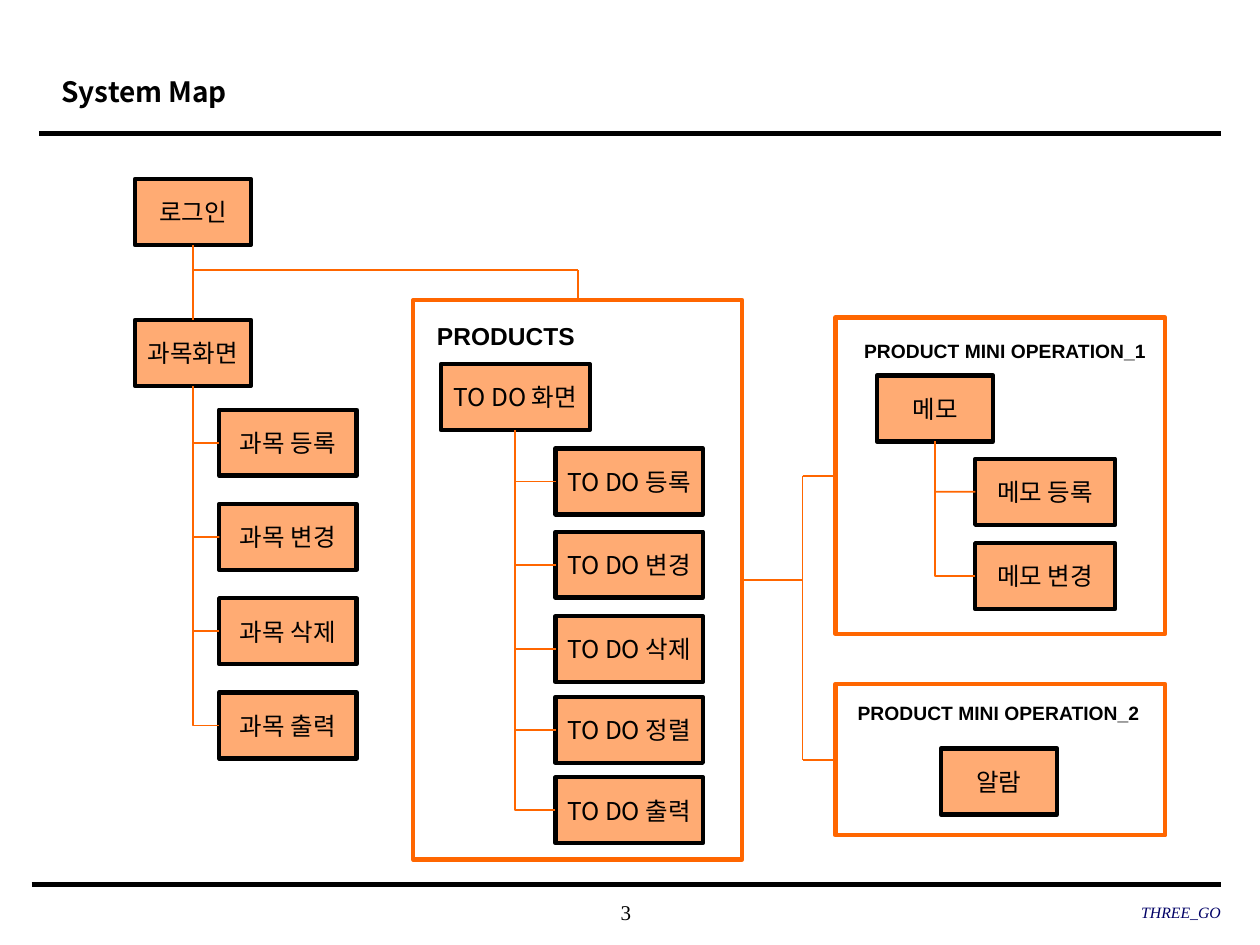
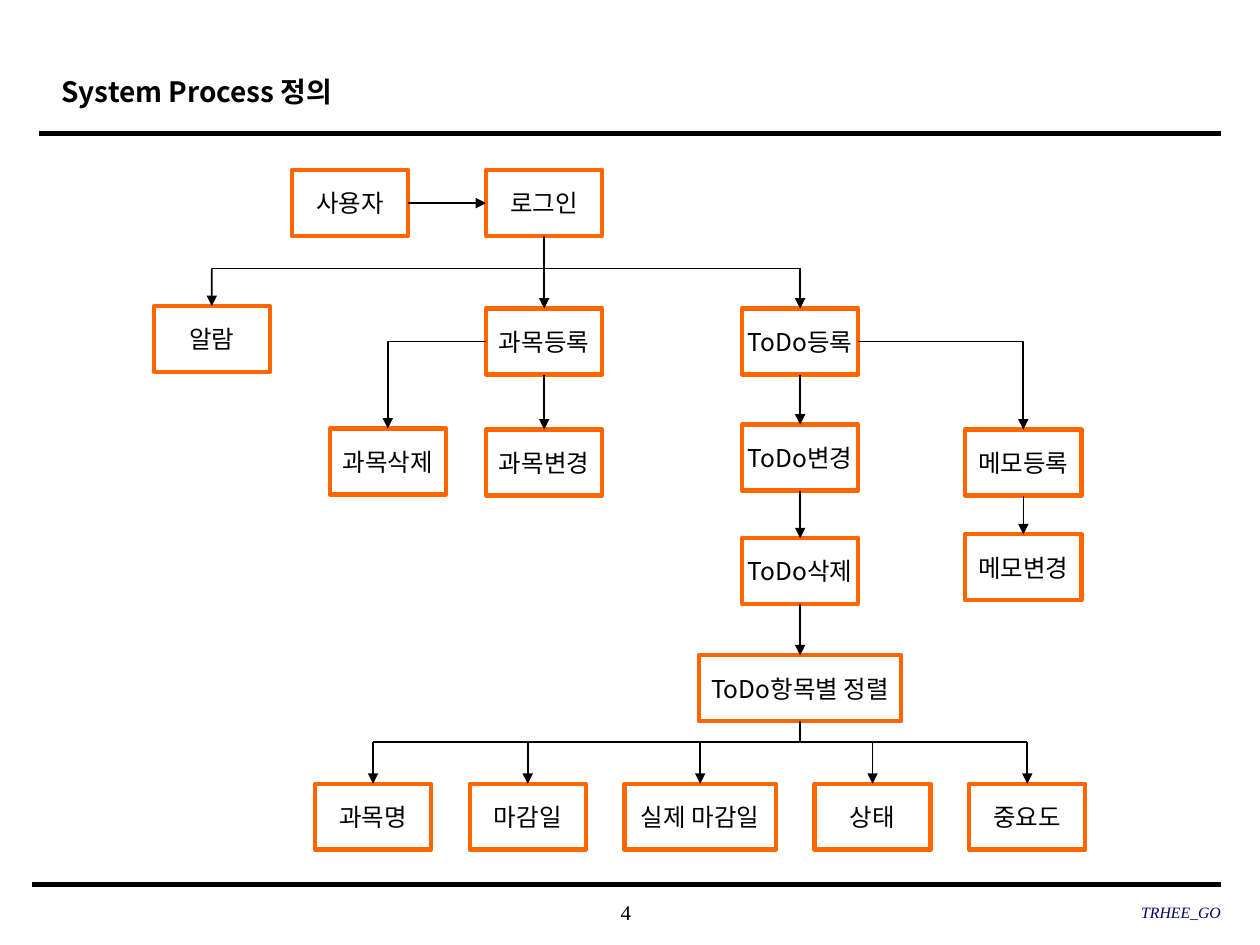
from dataclasses import dataclass

from lxml import etree
from pptx import Presentation
from pptx import util as u
from pptx.dml.color import RGBColor
from pptx.enum import shapes, text
from pptx.oxml.ns import qn

TOP, LEFT, BOTTOM, RIGHT = range(4)


@dataclass(frozen=True)
class Theme:
    ink: RGBColor = RGBColor(0, 0, 0)
    accent: RGBColor = RGBColor(0xFF, 0x66, 0x00)
    navy: RGBColor = RGBColor(0, 0, 0x66)
    body_font: str = "Noto Sans CJK KR"
    label_font: str = "Arial"
    footer_font: str = "Times New Roman"
    title_size: float = 16
    box_size: float = 14
    small_label_size: float = 11
    number_size: float = 12
    team_size: float = 9
    border: float = 2.5
    footer_rule: float = 3
    link: float = 1
    tint_alpha: int = 55000
    box_w: float = 2.34
    box_h: float = 1.33


class Deck:
    def __init__(self, theme):
        self.theme = theme
        self.prs = Presentation()
        self.prs.slide_width = u.Cm(25.4)
        self.prs.slide_height = u.Cm(19.05)
        self.s = None

    def slide(self, title, number, team):
        t = self.theme
        self.s = self.prs.slides.add_slide(self.prs.slide_layouts[6])
        self.link((0.79, 2.69), (24.61, 2.69), t.ink, width=t.border)
        self.link((0.64, 17.83), (24.61, 17.83), t.ink, width=t.footer_rule)
        p = self.textbox(title, 0.99, 1.24, 19.18, 1.27, t.body_font, t.title_size)
        p.font.bold = True
        p.line_spacing = 1.2
        self.footer(str(number), 9.98, 5.28, text.PP_ALIGN.CENTER, t.number_size, t.ink)
        p = self.footer(team, 16.84, 7.77, text.PP_ALIGN.RIGHT, t.team_size, t.navy)
        p.font.italic = True

    def style(self, p, font, size, color):
        p.font.size = u.Pt(size)
        p.font.color.rgb = color
        p.font.name = font
        props = p._p.pPr.find(qn("a:defRPr"))
        etree.SubElement(props, qn("a:ea")).set("typeface", font)

    def textbox(self, words, x, y, w, h, font, size, color=None, margins=None):
        sp = self.s.shapes.add_textbox(u.Cm(x), u.Cm(y), u.Cm(w), u.Cm(h))
        tf = sp.text_frame
        tf.word_wrap = True
        if margins is not None:
            tf.margin_left = tf.margin_right = u.Cm(margins)
            tf.margin_top = tf.margin_bottom = u.Cm(margins)
            tf.vertical_anchor = text.MSO_ANCHOR.MIDDLE
        p = tf.paragraphs[0]
        p.text = words
        self.style(p, font, size, color or self.theme.ink)
        return p

    def footer(self, words, x, w, align, size, color):
        p = self.textbox(words, x, 17.97, w, 0.84, self.theme.footer_font,
                         size, color, margins=0)
        p.alignment = align
        return p

    def label(self, words, x, y, w, h, size):
        p = self.textbox(words, x, y, w, h, self.theme.label_font, size)
        p.font.bold = True

    def frame(self, x, y, w, h, color=None):
        sp = self.s.shapes.add_shape(shapes.MSO_SHAPE.RECTANGLE,
                                     u.Cm(x), u.Cm(y), u.Cm(w), u.Cm(h))
        sp.shadow.inherit = False
        sp.fill.background()
        sp.line.color.rgb = color or self.theme.accent
        sp.line.width = u.Pt(self.theme.border)
        return sp

    def box(self, words, x, y, w=None, tinted=False):
        t = self.theme
        sp = self.frame(x, y, w or t.box_w, t.box_h, t.ink if tinted else t.accent)
        if tinted:
            sp.fill.solid()
            sp.fill.fore_color.rgb = t.accent
            color = sp._element.spPr.find(qn("a:solidFill"))[0]
            etree.SubElement(color, qn("a:alpha")).set("val", str(t.tint_alpha))
        tf = sp.text_frame
        tf.word_wrap = False
        tf.vertical_anchor = text.MSO_ANCHOR.MIDDLE
        p = tf.paragraphs[0]
        p.text = words
        p.alignment = text.PP_ALIGN.CENTER
        self.style(p, t.body_font, t.box_size, t.ink)
        return sp

    def site(self, sp, side):
        x = {LEFT: sp.left, RIGHT: sp.left + sp.width}.get(side, sp.left + sp.width // 2)
        y = {TOP: sp.top, BOTTOM: sp.top + sp.height}.get(side, sp.top + sp.height // 2)
        return u.Emu(x).cm, u.Emu(y).cm

    def link(self, start, end, color, arrow=False, bent=False, width=None):
        ends = [(*e, None) if isinstance(e[0], (int, float)) else (*self.site(*e), e)
                for e in (start, end)]
        (x1, y1, begin_site), (x2, y2, end_site) = ends
        kind = shapes.MSO_CONNECTOR.ELBOW if bent else shapes.MSO_CONNECTOR.STRAIGHT
        c = self.s.shapes.add_connector(kind, u.Cm(x1), u.Cm(y1), u.Cm(x2), u.Cm(y2))
        if begin_site:
            c.begin_connect(*begin_site)
        if end_site:
            c.end_connect(*end_site)
        c.line.color.rgb = color
        c.line.width = u.Pt(width or self.theme.link)
        props = c._element.spPr
        if bent:
            props.find(qn("a:prstGeom")).set("prst", "bentConnector2")
        if arrow:
            etree.SubElement(props.find(qn("a:ln")), qn("a:tailEnd")).set("type", "triangle")
        etree.SubElement(props, qn("a:effectLst"))

    def arrow(self, start, end, bent=False):
        self.link(start, end, self.theme.ink, arrow=True, bent=bent)

    def tree(self, parent, words, x, tops, w):
        children = [self.box(word, x, top, w, tinted=True)
                    for word, top in zip(words, tops)]
        trunk = self.site(parent, BOTTOM)[0]
        for child in children[:-1]:
            self.link((trunk, self.site(child, LEFT)[1]), (child, LEFT), self.theme.accent)
        self.link((children[-1], LEFT), (parent, BOTTOM), self.theme.accent, bent=True)


def system_map(d):
    t = d.theme
    d.slide("System Map", 3, "THREE_GO")
    products = d.frame(8.33, 6.05, 6.63, 11.28)
    operations = [d.frame(16.84, 6.4, 6.65, 6.38), d.frame(16.84, 13.79, 6.65, 3.05)]
    d.label("PRODUCTS", 8.56, 6.35, 3.78, 0.86, t.box_size)
    d.label("PRODUCT MINI OPERATION_1", 17.17, 6.71, 6.32, 0.74, t.small_label_size)
    d.label("PRODUCT MINI OPERATION_2", 17.04, 14.02, 6.81, 0.74, t.small_label_size)

    login = d.box("로그인", 2.72, 3.61, tinted=True)
    subject = d.box("과목화면", 2.72, 6.45, tinted=True)
    todo = d.box("TO DO 화면", 8.89, 7.34, 3, tinted=True)
    memo = d.box("메모", 17.68, 7.57, tinted=True)
    d.box("알람", 18.97, 15.09, tinted=True)

    d.tree(subject, ["과목 등록", "과목 변경", "과목 삭제", "과목 출력"],
           4.42, [8.26 + 1.9 * i for i in range(4)], 2.77)
    d.tree(todo, ["TO DO 등록", "TO DO 변경", "TO DO 삭제", "TO DO 정렬", "TO DO 출력"],
           11.2, [9.04, 10.72, 12.42, 14.05, 15.67], 2.97)
    d.tree(memo, ["메모 등록", "메모 변경"], 19.66, [9.25, 10.95], 2.82)

    d.link((login, BOTTOM), (subject, TOP), t.accent)
    bus_y = 5.44
    products_x = d.site(products, TOP)[0]
    d.link((d.site(login, BOTTOM)[0], bus_y), (products_x, bus_y), t.accent)
    d.link((products_x, bus_y), (products, TOP), t.accent)

    spine_x = 16.18
    levels = [d.site(operation, LEFT)[1] for operation in operations]
    d.link((spine_x, levels[0]), (spine_x, levels[1]), t.accent)
    for operation, level in zip(operations, levels):
        d.link((spine_x, level), (operation, LEFT), t.accent)
    d.link((products, RIGHT), (spine_x, d.site(products, RIGHT)[1]), t.accent)


def system_process(d):
    t = d.theme
    d.slide("System Process 정의", 4, "TRHEE_GO")
    user = d.box("사용자", 5.89, 3.43)
    login = d.box("로그인", 9.8, 3.43)
    alarm = d.box("알람", 3.1, 6.17)
    subject_add = d.box("과목등록", 9.8, 6.22)
    subject_edit = d.box("과목변경", 9.8, 8.66)
    subject_delete = d.box("과목삭제", 6.65, 8.64)
    todo_add = d.box("ToDo등록", 14.96, 6.22)
    todo_edit = d.box("ToDo변경", 14.96, 8.56)
    todo_delete = d.box("ToDo삭제", 14.96, 10.85)
    todo_sort = d.box("ToDo항목별 정렬", 14.09, 13.21, 4.08)
    memo_add = d.box("메모등록", 19.46, 8.66)
    memo_edit = d.box("메모변경", 19.46, 10.77)

    sort_keys = []
    x, gap = 6.35, 0.78
    for word, w in [("과목명", t.box_w), ("마감일", t.box_w), ("실제 마감일", 3.05),
                    ("상태", t.box_w), ("중요도", t.box_w)]:
        sort_keys.append(d.box(word, x, 15.8, w))
        x += w + gap

    d.arrow((user, RIGHT), (login, LEFT))
    for upper, lower in [(subject_add, subject_edit), (todo_add, todo_edit),
                         (todo_edit, todo_delete), (todo_delete, todo_sort),
                         (memo_add, memo_edit)]:
        d.arrow((upper, BOTTOM), (lower, TOP))
    d.arrow((todo_add, RIGHT), (memo_add, TOP), bent=True)
    d.arrow((subject_add, LEFT), (subject_delete, TOP), bent=True)

    for source, targets, bus_y in [(login, [alarm, subject_add, todo_add], 5.41),
                                   (todo_sort, sort_keys, 14.96)]:
        centres = [d.site(target, TOP)[0] for target in targets]
        d.link((source, BOTTOM), (d.site(source, BOTTOM)[0], bus_y), t.ink)
        d.link((centres[0], bus_y), (centres[-1], bus_y), t.ink)
        for target, centre in zip(targets, centres):
            d.arrow((centre, bus_y), (target, TOP))


def main():
    d = Deck(Theme())
    system_map(d)
    system_process(d)
    d.prs.save("out.pptx")


if __name__ == "__main__":
    main()
